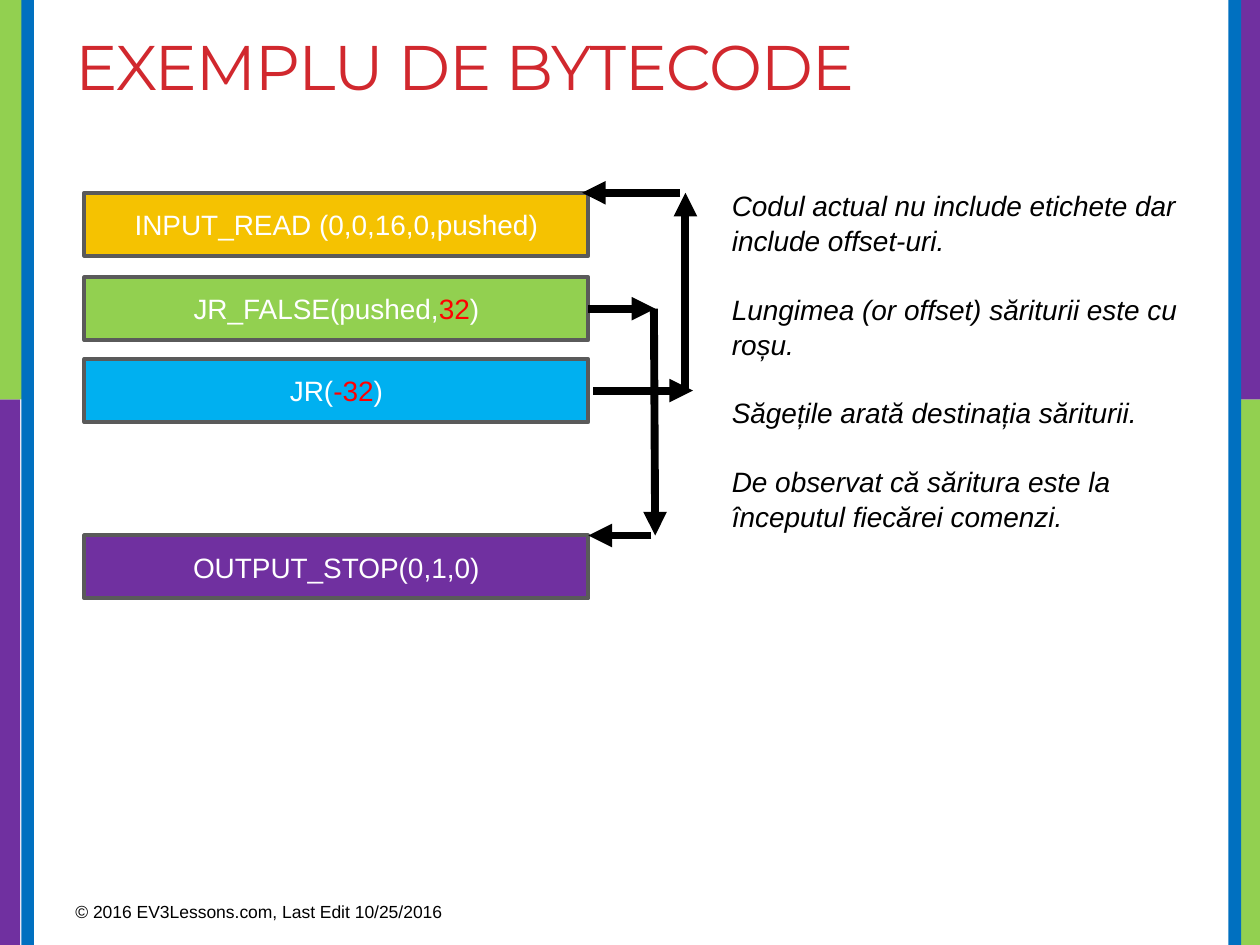
"""Build the bytecode example slide with its jump arrows."""
from lxml.etree import SubElement
from pptx import Presentation
from pptx.dml.color import RGBColor
from pptx.enum.shapes import MSO_CONNECTOR, MSO_SHAPE
from pptx.enum.text import MSO_ANCHOR, PP_ALIGN
from pptx.oxml.ns import qn
from pptx.util import Inches, Pt

BLACK = RGBColor(0x00, 0x00, 0x00)
WHITE = RGBColor(0xFF, 0xFF, 0xFF)
RED = RGBColor(0xFF, 0x00, 0x00)
TITLE_RED = RGBColor(0xD1, 0x28, 0x2E)
GRAY = RGBColor(0x5A, 0x5A, 0x5A)
GOLD = RGBColor(0xF5, 0xC2, 0x01)
GREEN = RGBColor(0x92, 0xD0, 0x50)
SKY = RGBColor(0x00, 0xB0, 0xF0)
BLUE = RGBColor(0x00, 0x70, 0xC0)
PURPLE = RGBColor(0x70, 0x30, 0xA0)

SPLIT, HEIGHT = 3.17, 7.5
SIDE_BARS = [
    (9.84, SPLIT, 0.16, HEIGHT - SPLIT, GREEN),
    (9.8, 0, 0.2, SPLIT, PURPLE),
    (9.75, 0, 0.1, HEIGHT, BLUE),
    (0, SPLIT, 0.16, HEIGHT - SPLIT, PURPLE),
    (0, 0, 0.2, SPLIT, GREEN),
    (0.17, 0, 0.1, HEIGHT, BLUE),
]
COMMANDS = [
    (1.53, GOLD, [("INPUT_READ (0,0,16,0,pushed)", WHITE)]),
    (2.2, GREEN, [("JR_FALSE(pushed,", WHITE), ("32", RED), (")", WHITE)]),
    (2.85, SKY, [("JR(", WHITE), ("-32", RED), (")", WHITE)]),
    (4.25, PURPLE, [("OUTPUT_STOP(0,1,0)", WHITE)]),
]
COMMAND_LEFT, COMMAND_WIDTH, COMMAND_HEIGHT = 0.67, 4, 0.5
READ_TOP, FALSE_TOP, JUMP_TOP, STOP_TOP = [command[0] for command in COMMANDS]
FALSE_MIDDLE = FALSE_TOP + COMMAND_HEIGHT / 2
JUMP_MIDDLE = JUMP_TOP + COMMAND_HEIGHT / 2
ARROWS = [
    (4.67, FALSE_MIDDLE, 5.2, FALSE_MIDDLE),
    (5.19, FALSE_MIDDLE, 5.2, STOP_TOP),
    (5.17, STOP_TOP, 4.67, STOP_TOP),
    (4.71, JUMP_MIDDLE, 5.5, JUMP_MIDDLE),
    (5.44, JUMP_MIDDLE, 5.44, READ_TOP),
    (5.4, READ_TOP, 4.62, READ_TOP),
]
TITLE = "EXEMPLU DE BYTECODE"
FOOTER = "© 2016 EV3Lessons.com, Last Edit 10/25/2016"
NOTES = [
    "Codul actual nu include etichete dar include offset-uri.",
    "Lungimea (or offset) săriturii este cu roșu.",
    "Săgețile arată destinația săriturii.",
    "De observat că săritura este la începutul fiecărei comenzi.",
]


def add_span(para, text, size, color, font="Arial"):
    span = para.add_run()
    span.text = text
    span.font.name, span.font.size = font, Pt(size)
    span.font.color.rgb = color
    return span


def add_box(page, left, top, width, height, fill):
    box = page.shapes.add_shape(MSO_SHAPE.RECTANGLE, Inches(left), Inches(top),
                                Inches(width), Inches(height))
    box.shadow.inherit = False
    box.fill.solid()
    box.fill.fore_color.rgb = fill
    box.line.fill.background()
    return box


def add_text(page, left, top, width, height):
    box = page.shapes.add_textbox(Inches(left), Inches(top), Inches(width), Inches(height))
    box.text_frame.word_wrap = True
    return box.text_frame


def add_command(page, top, fill, parts):
    box = add_box(page, COMMAND_LEFT, top, COMMAND_WIDTH, COMMAND_HEIGHT, fill)
    box.line.color.rgb, box.line.width = GRAY, Pt(2.25)
    box.text_frame.vertical_anchor = MSO_ANCHOR.MIDDLE
    para = box.text_frame.paragraphs[0]
    para.alignment = PP_ALIGN.CENTER
    for text, color in parts:
        add_span(para, text, 16, color)


def add_arrow(page, *ends):
    arrow = page.shapes.add_connector(MSO_CONNECTOR.STRAIGHT, *map(Inches, ends))
    arrow.line.color.rgb, arrow.line.width = BLACK, Pt(4.5)
    SubElement(arrow.line._get_or_add_ln(), qn("a:tailEnd"), type="triangle")
    SubElement(arrow._element.spPr, qn("a:effectLst"))


def main():
    deck = Presentation()
    deck.slide_width, deck.slide_height = Inches(10), Inches(HEIGHT)
    page = deck.slides.add_slide(deck.slide_layouts[6])
    for bar in SIDE_BARS:
        add_box(page, *bar)

    title = add_text(page, 0.5, 0.17, 9.02, 1.5)
    span = add_span(title.paragraphs[0], TITLE, 36, TITLE_RED, "Montserrat")
    span.font._element.set("spc", "-60")
    footer = add_text(page, 0.5, 7.1, 3.75, 0.31)
    add_span(footer.paragraphs[0], FOOTER, 10, BLACK)

    for command in COMMANDS:
        add_command(page, *command)
    for arrow in ARROWS:
        add_arrow(page, *arrow)

    notes = add_text(page, 5.71, 1.44, 3.85, 2.79)
    for index, text in enumerate(NOTES):
        para = notes.add_paragraph() if index else notes.paragraphs[0]
        para.line_spacing = 1.04
        if index:
            para.space_before = Pt(19.2)
        add_span(para, text, 16, BLACK).font.italic = True
    deck.save("out.pptx")


if __name__ == "__main__":
    main()
